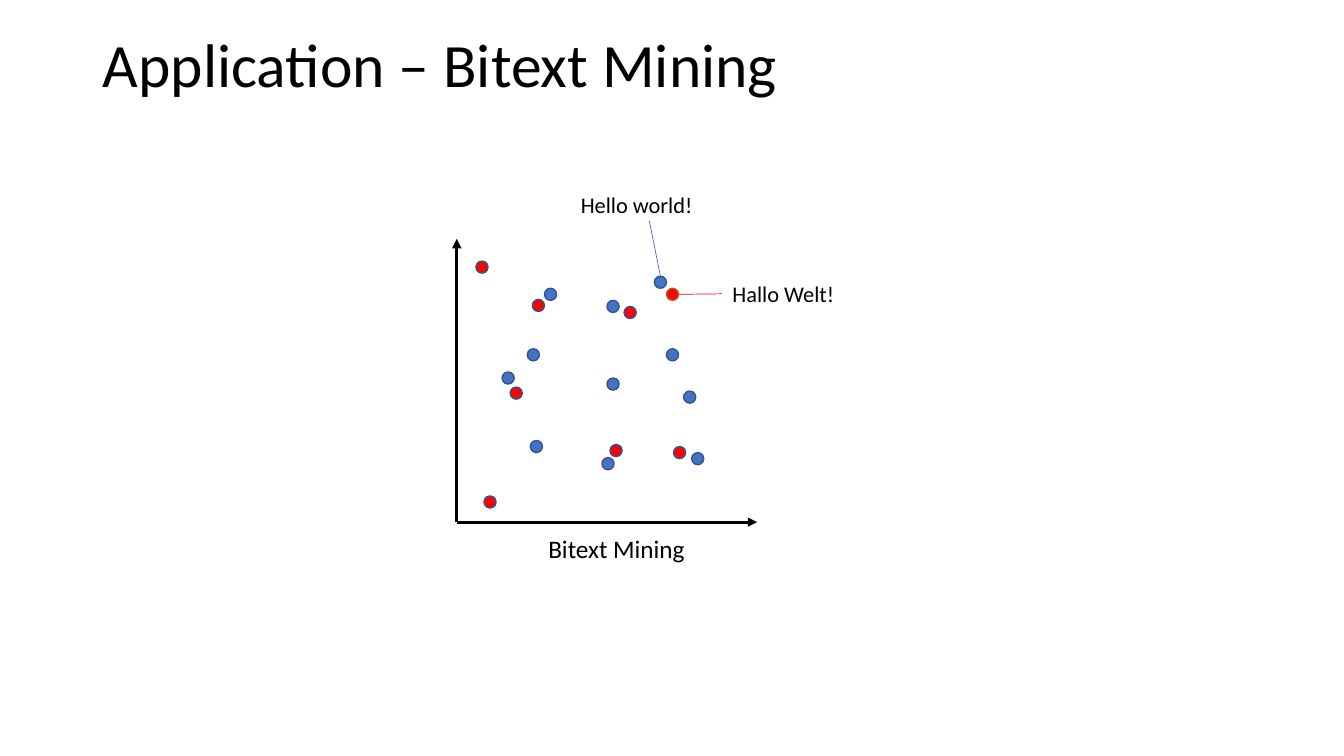
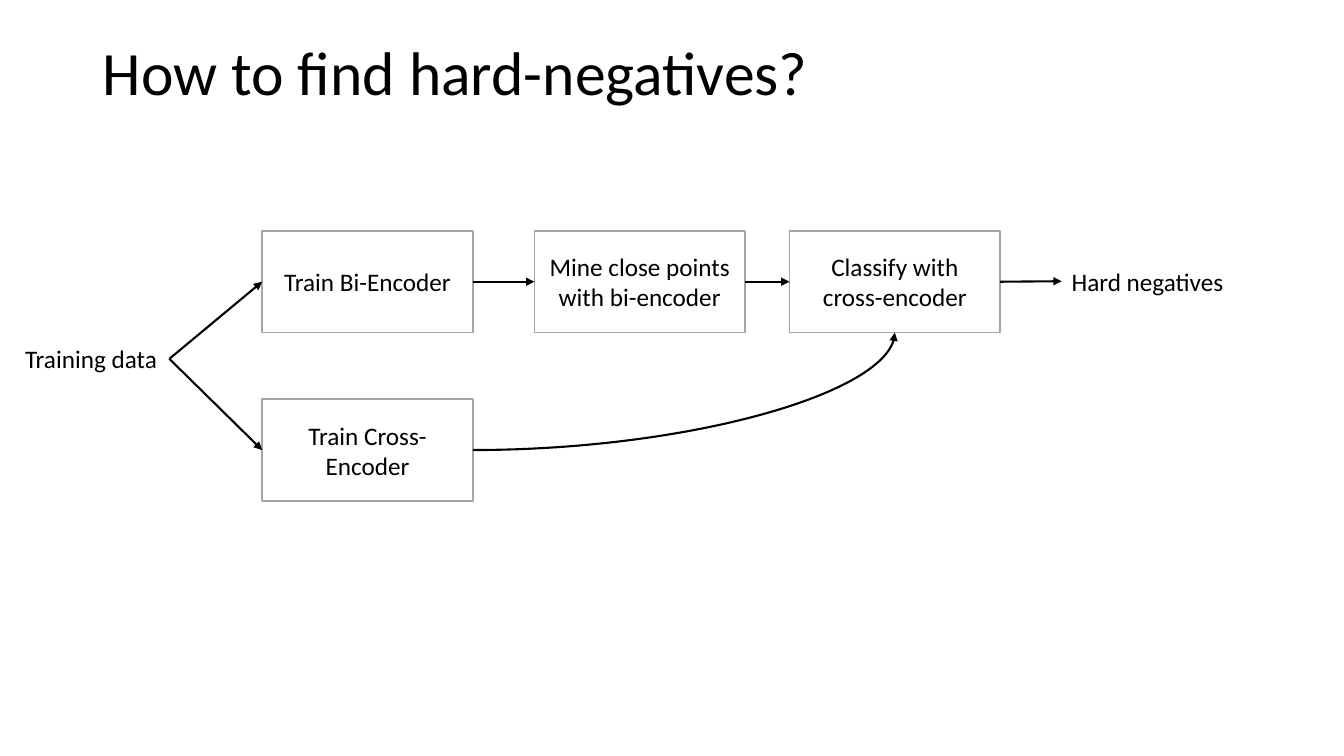
from lxml import etree
from pptx import Presentation
from pptx.dml.color import RGBColor
from pptx.enum.shapes import MSO_CONNECTOR, MSO_SHAPE
from pptx.enum.text import MSO_ANCHOR, MSO_AUTO_SIZE, PP_ALIGN
from pptx.oxml.ns import qn
from pptx.util import Pt

PX = 9144  # 100 px to the inch
BLACK = RGBColor(0x00, 0x00, 0x00)
WHITE = RGBColor(0xFF, 0xFF, 0xFF)
RED = RGBColor(0xFF, 0x00, 0x00)
BLUE = RGBColor(0x44, 0x72, 0xC4)
DARK_BLUE = RGBColor(0x32, 0x54, 0x91)
BROWN = RGBColor(0xAF, 0x5C, 0x24)
GRAY = RGBColor(0xA5, 0xA5, 0xA5)
FONT = "Calibri"
LEFT, CENTER = PP_ALIGN.LEFT, PP_ALIGN.CENTER
TOP, MIDDLE = MSO_ANCHOR.TOP, MSO_ANCHOR.MIDDLE
FIT_SHAPE, NO_FIT = MSO_AUTO_SIZE.SHAPE_TO_FIT_TEXT, MSO_AUTO_SIZE.NONE
STRAIGHT, CURVE = MSO_CONNECTOR.STRAIGHT, MSO_CONNECTOR.CURVE
RECTANGLE, OVAL = MSO_SHAPE.RECTANGLE, MSO_SHAPE.OVAL
TOP_SIDE, LEFT_SIDE, BOTTOM_SIDE, RIGHT_SIDE = range(4)


def write(shape, text, size=18, align=LEFT, anchor=TOP, wrap=False, fit=FIT_SHAPE,
          line_spacing=None):
    frame = shape.text_frame
    frame.word_wrap = wrap
    frame.auto_size = fit
    frame.vertical_anchor = anchor
    paragraph = frame.paragraphs[0]
    paragraph.text = text
    paragraph.alignment = align
    paragraph.line_spacing = line_spacing
    paragraph.font.name = FONT
    paragraph.font.size = Pt(size)
    paragraph.font.color.rgb = BLACK


def draw_line(slide, start, end, color=BLACK, width=1.5, arrow=True, kind=STRAIGHT):
    """Each end is an (x, y) point in px, or a (shape, side) pair to join."""
    joined = [not isinstance(point[0], int) for point in (start, end)]
    x1, y1 = (0, 0) if joined[0] else start
    x2, y2 = (0, 0) if joined[1] else end
    connector = slide.shapes.add_connector(kind, x1 * PX, y1 * PX, x2 * PX, y2 * PX)
    if joined[0]:
        connector.begin_connect(*start)
    if joined[1]:
        connector.end_connect(*end)
    connector.line.color.rgb = color
    connector.line.width = Pt(width)
    properties = connector._element.spPr
    if arrow:
        etree.SubElement(properties.find(qn("a:ln")), qn("a:tailEnd"), type="triangle")
    etree.SubElement(properties, qn("a:effectLst"))
    return connector


presentation = Presentation()
presentation.slide_width = 1333 * PX
presentation.slide_height = 750 * PX
title_only = presentation.slide_layouts[5]

slides = []
for title_text, title_top in (("Application – Bitext Mining", -5),
                              ("How to find hard-negatives?", 2)):
    slide = presentation.slides.add_slide(title_only)
    title = slide.shapes.title
    title.left, title.top = 92 * PX, title_top * PX
    title.width, title.height = 1150 * PX, 145 * PX
    write(title, title_text, size=44, anchor=MIDDLE, wrap=True, fit=NO_FIT, line_spacing=0.9)
    slides.append(slide)
mining_slide, negatives_slide = slides

# Bitext mining: axes, sentence points and their labels
origin = (453, 518)
for axis_end in ((453, 237), (751, 518)):
    draw_line(mining_slide, origin, axis_end, width=2.25)

DOT = 12
blue_dots = [(523, 346), (602, 375), (661, 346), (540, 286), (649, 274), (602, 298),
             (498, 369), (526, 437), (597, 454), (686, 449), (678, 388)]
red_dots = [(605, 441), (528, 297), (619, 304), (506, 384), (668, 443), (480, 492),
            (472, 259)]
translation_dot = [(661, 286)]
for dots, fill, outline in ((blue_dots, BLUE, DARK_BLUE), (red_dots, RED, DARK_BLUE),
                            (translation_dot, RED, BROWN)):
    for x, y in dots:
        dot = mining_slide.shapes.add_shape(OVAL, x * PX, y * PX, DOT * PX, DOT * PX)
        dot.shadow.inherit = False
        dot.fill.solid()
        dot.fill.fore_color.rgb = fill
        dot.line.color.rgb = outline
        dot.line.width = Pt(1)

labels = {}
for slide, text, x, y, width, height, size, align in (
        (mining_slide, "Bitext Mining", 534, 524, 157, 40, 18, LEFT),
        (mining_slide, "Hello world!", 565, 185, 133, 37, 16, CENTER),
        (mining_slide, "Hallo Welt!", 716, 273, 122, 37, 16, CENTER),
        (negatives_slide, "Training data", 15, 336, 153, 40, 18, LEFT),
        (negatives_slide, "Hard negatives", 1053, 259, 173, 40, 18, LEFT)):
    label = slide.shapes.add_textbox(x * PX, y * PX, width * PX, height * PX)
    write(label, text, size=size, align=align)
    labels[text] = label

draw_line(mining_slide, (644, 219), (655, 274), BLUE, 0.5, arrow=False)
draw_line(mining_slide, (673, 292), (labels["Hallo Welt!"], LEFT_SIDE), RED, 0.5, arrow=False)

# Hard negatives: process steps and the arrows between them
steps = []
for text, x, y in (("Train Bi-Encoder", 260, 229),
                   ("Train Cross-Encoder", 260, 396),
                   ("Mine close points with bi-encoder", 530, 229),
                   ("Classify with cross-encoder", 783, 229)):
    step = negatives_slide.shapes.add_shape(RECTANGLE, x * PX, y * PX, 209 * PX, 101 * PX)
    step.shadow.inherit = False
    step.fill.solid()
    step.fill.fore_color.rgb = WHITE
    step.line.color.rgb = GRAY
    step.line.width = Pt(1)
    write(step, text, align=CENTER, anchor=MIDDLE, wrap=True, fit=NO_FIT)
    steps.append(step)
train_bi, train_cross, mine, classify = steps

for source, target in ((labels["Training data"], train_bi),
                       (labels["Training data"], train_cross),
                       (train_bi, mine), (mine, classify),
                       (classify, labels["Hard negatives"])):
    draw_line(negatives_slide, (source, RIGHT_SIDE), (target, LEFT_SIDE))

curve = draw_line(negatives_slide, (train_cross, RIGHT_SIDE), (classify, BOTTOM_SIDE), kind=CURVE)
curve._element.spPr.find(qn("a:prstGeom")).set("prst", "curvedConnector2")

presentation.save("out.pptx")
